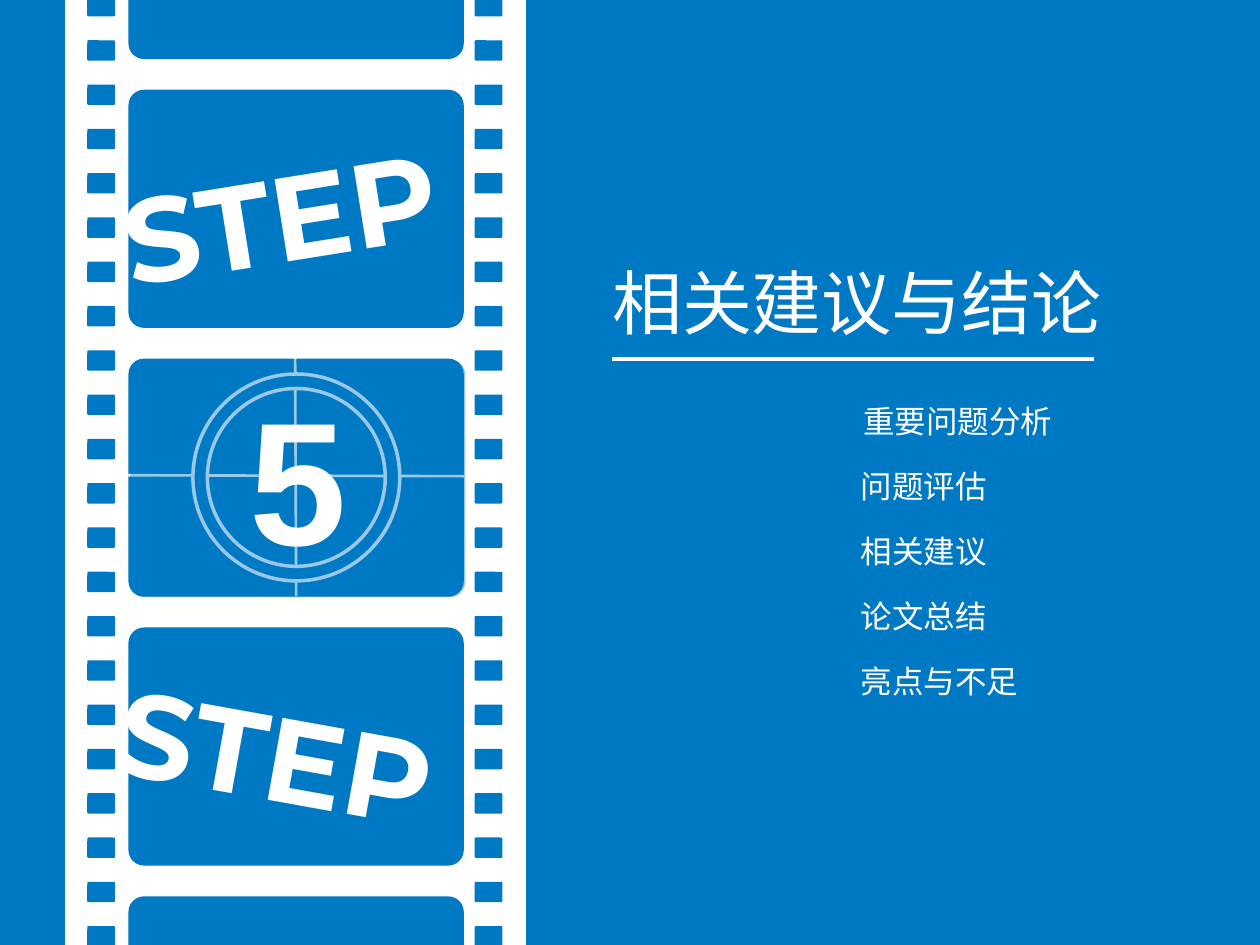
from pptx import Presentation
from pptx.dml.color import RGBColor
from pptx.enum.shapes import MSO_CONNECTOR, MSO_SHAPE
from pptx.enum.text import MSO_AUTO_SIZE
from pptx.oxml.ns import qn
from pptx.util import Cm, Pt
from lxml import etree

RECT = MSO_SHAPE.RECTANGLE
ROUNDED = MSO_SHAPE.ROUNDED_RECTANGLE
DONUT = MSO_SHAPE.DONUT
STRAIGHT = MSO_CONNECTOR.STRAIGHT
GROW = MSO_AUTO_SIZE.SHAPE_TO_FIT_TEXT

BLUE, WHITE = "0079C5", "FFFFFF"
CJK = "Noto Sans CJK SC"

TOPICS = ["重要问题分析", "问题评估", "相关建议", "论文总结", "亮点与不足"]
TOPIC_LEFT, FIRST_TOPIC_LEFT = 17.1, 17.15
TOPIC_TOP, TOPIC_PITCH = 7.98, 1.31

STEPS = [("STEP", (2.21, 2.62, 8.76, 3.18), -9.1),
         ("STEP", (2.13, 13.79, 8.76, 3.15), 10.2)]
NUMBER = ("5", (4.78, 7.34, 4.95, 4.52))
TITLE = ("相关建议与结论", (12.09, 5.11, 10.72, 1.96))

STRIP = (1.4, -0.41, 9.12, 19.84)
HOLE_LEFTS, HOLE_TOP, HOLE_SPAN, HOLE_COUNT = (1.76, 9.57), -0.08, 18.75, 22
HOLE_SIZE = (0.56, 0.41)
FRAME_LEFT, FRAME_TOP, FRAME_PITCH, FRAME_COUNT = 2.59, -3.61, 5.42, 5
FRAME_SIZE = (6.76, 4.8)
RING = (3.89, 7.54, 4.17, 4.17)
VEIL = (2.62, 7.24, *FRAME_SIZE)
CROSSHAIR = [((2.59, 9.58), (9.58, 9.6)), ((5.95, 7.21), (5.97, 12.01))]
UNDERLINE = ((12.34, 7.24), (22.05, 7.24))


def color(value):
    return RGBColor.from_string(value)


def add_shape(parent, kind, box, fill, line_width=None, adjust=None, alpha=None):
    shape = parent.add_shape(kind, *map(Cm, box))
    shape.shadow.inherit = False
    shape.fill.solid()
    shape.fill.fore_color.rgb = color(fill)
    if adjust is not None:
        shape.adjustments[0] = adjust
    if line_width:
        shape.line.color.rgb = color(WHITE)
        shape.line.width = Pt(line_width)
    else:
        shape.line.fill.background()
    if alpha is not None:
        fill_color = shape._element.spPr.find(qn("a:solidFill"))[0]
        etree.SubElement(fill_color, qn("a:alpha")).set("val", str(alpha * 1000))
    return shape


def add_line(parent, start, end, width):
    line = parent.add_connector(STRAIGHT, *map(Cm, start + end))
    line.line.color.rgb = color(WHITE)
    line.line.width = Pt(width)
    etree.SubElement(line._element.spPr, qn("a:effectLst"))


def add_text(parent, text, box, name, size, bold=False, rotation=0):
    label = parent.add_textbox(*map(Cm, box))
    label.rotation = rotation
    label.text_frame.word_wrap = True
    label.text_frame.auto_size = GROW
    run = label.text_frame.paragraphs[0].add_run()
    run.text = text
    for key, value in {"name": name, "size": Pt(size), "bold": bold}.items():
        setattr(run.font, key, value)
    run.font.color.rgb = color(WHITE)
    east_asian = etree.SubElement(run._r.get_or_add_rPr(), qn("a:ea"))
    east_asian.set("typeface", name)


def add_film(parent):
    film = parent.add_group_shape().shapes
    add_shape(film, RECT, STRIP, WHITE, 4.5)
    for left in HOLE_LEFTS:
        for i in range(HOLE_COUNT):
            top = HOLE_TOP + i * HOLE_SPAN / (HOLE_COUNT - 1)
            add_shape(film, ROUNDED, (left, top, *HOLE_SIZE), BLUE, adjust=0.06)
    for i in range(FRAME_COUNT):
        top = FRAME_TOP + i * FRAME_PITCH
        add_shape(film, ROUNDED, (FRAME_LEFT, top, *FRAME_SIZE), BLUE, adjust=0.065)


def main():
    deck = Presentation()
    deck.slide_width, deck.slide_height = Cm(25.4), Cm(19.05)
    slide = deck.slides.add_slide(deck.slide_layouts[6])
    slide.background.fill.solid()
    slide.background.fill.fore_color.rgb = color(BLUE)
    shapes = slide.shapes

    add_film(shapes)
    for text, box, rotation in STEPS:
        add_text(shapes, text, box, "Montserrat", 68, True, rotation)
    for start, end in CROSSHAIR:
        add_line(shapes, start, end, 1.5)
    add_shape(shapes, DONUT, RING, BLUE, 2, 0.07)
    add_shape(shapes, ROUNDED, VEIL, BLUE, adjust=0.065, alpha=40)
    add_text(shapes, *NUMBER, "Arial", 100, True)

    add_line(shapes, *UNDERLINE, 2.25)
    add_text(shapes, *TITLE, CJK, 40)
    for i, topic in enumerate(TOPICS):
        left = TOPIC_LEFT if i else FIRST_TOPIC_LEFT
        add_text(shapes, topic, (left, TOPIC_TOP + i * TOPIC_PITCH, 6.43, 1.02), CJK, 18)
    deck.save("out.pptx")


if __name__ == "__main__":
    main()
